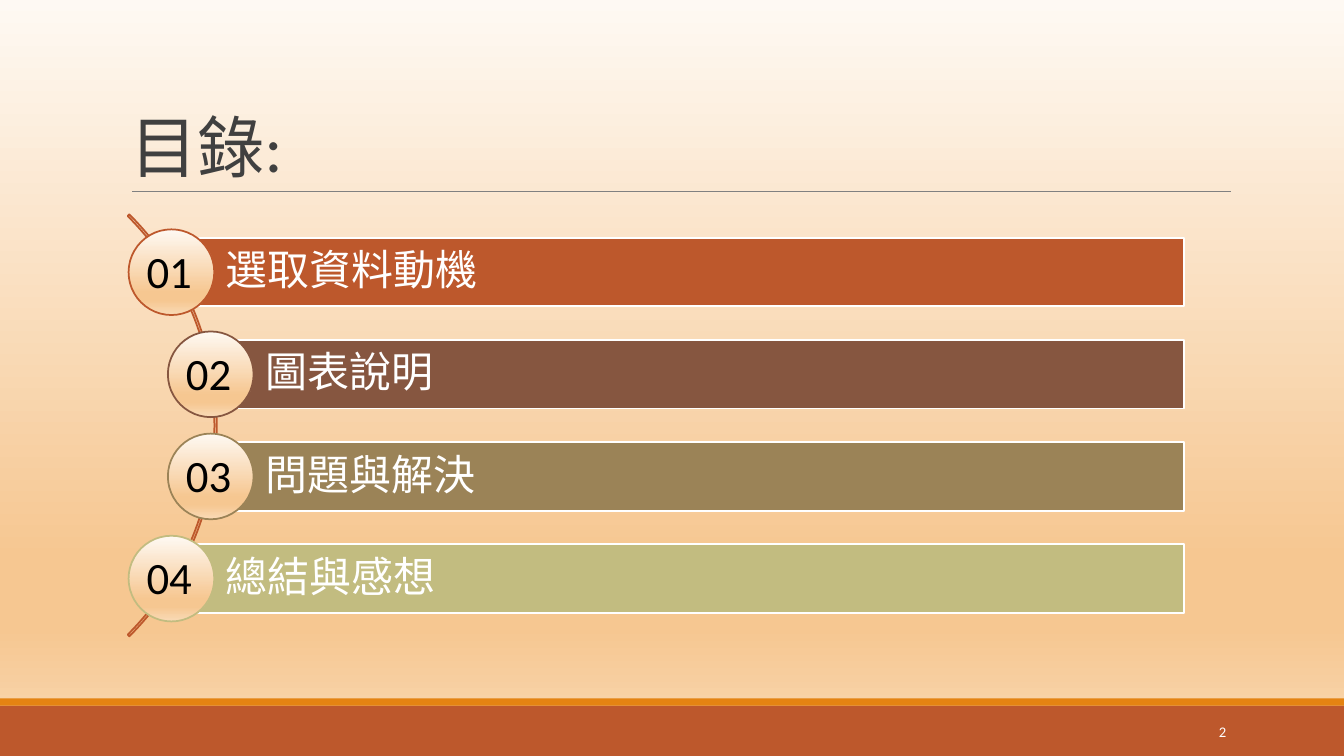
from lxml import etree
from pptx import Presentation
from pptx.dml.color import RGBColor
from pptx.enum.shapes import MSO_CONNECTOR, MSO_SHAPE
from pptx.enum.text import MSO_ANCHOR, PP_ALIGN
from pptx.oxml.ns import qn
from pptx.util import Inches, Pt

RECTANGLE, OVAL, ARC = MSO_SHAPE.RECTANGLE, MSO_SHAPE.OVAL, MSO_SHAPE.BLOCK_ARC
STRAIGHT = MSO_CONNECTOR.STRAIGHT
TOP, MIDDLE, BOTTOM = MSO_ANCHOR.TOP, MSO_ANCHOR.MIDDLE, MSO_ANCHOR.BOTTOM
LEFT, RIGHT = PP_ALIGN.LEFT, PP_ALIGN.RIGHT

FONT = "Calibri"
WHITE, RUST, ORANGE = "FFFFFF", "BD582C", "E48312"
GRADIENT = [(0, "FEF9F3"), (74, "F6C791"), (83, "F6C791"), (100, "F9DAB6")]
# Chapter title, colour, left edge of its bar
CHAPTERS = [
    ("選取資料動機", RUST, 1.7),
    ("圖表說明", "865640", 2.09),
    ("問題與解決", "9B8357", 2.09),
    ("總結與感想", "C2BC80", 1.7),
]


def color(value):
    return RGBColor.from_string(value)


def fill_gradient(fill, element):
    """Fill top to bottom with the warm gradient."""
    fill.gradient()
    fill.gradient_angle = 270
    stops = element.find(".//" + qn("a:gsLst"))
    for stop in list(stops):
        stops.remove(stop)
    for position, value in GRADIENT:
        stop = etree.SubElement(stops, qn("a:gs"), pos=str(position * 1000))
        etree.SubElement(stop, qn("a:srgbClr"), val=value)


def add_shape(slide, kind, box, fill=None, line=None):
    shape = slide.shapes.add_shape(kind, *map(Inches, box))
    shape.shadow.inherit = False
    if fill:
        shape.fill.solid()
        shape.fill.fore_color.rgb = color(fill)
    else:
        shape.fill.background()
    if line:
        shape.line.color.rgb = color(line)
        shape.line.width = Pt(1.25)
    else:
        shape.line.fill.background()
    return shape


def write_text(shape, text, size, value, anchor=MIDDLE, align=LEFT, spacing=1.0):
    frame = shape.text_frame
    frame.word_wrap = True
    frame.vertical_anchor = anchor
    frame.text = text
    paragraph = frame.paragraphs[0]
    paragraph.alignment = align
    paragraph.line_spacing = spacing
    font = paragraph.runs[0].font
    font.name, font.size = FONT, Pt(size)
    font.color.rgb = color(value)
    return paragraph.runs[0]


def add_text(slide, box, *args, **options):
    text_box = slide.shapes.add_textbox(*map(Inches, box))
    return write_text(text_box, *args, **options)


def add_footer(slide, left, top, width, height):
    stripe = 0.07
    add_shape(slide, RECTANGLE, (left, top + stripe, width, height - stripe), RUST)
    add_shape(slide, RECTANGLE, (left, top, width, stripe), ORANGE)
    add_text(slide, (left + width - 2.5, top + 0.13, 1.43, 0.4),
             "2", 10.5, WHITE, align=RIGHT)


def add_title(slide, left, top, width, height):
    bottom = top + height
    rule = slide.shapes.add_connector(
        STRAIGHT, *map(Inches, (left + 0.11, bottom, left + width + 0.01, bottom)))
    rule.line.color.rgb = color("808080")
    rule.line.width = Pt(0.5)
    etree.SubElement(rule.element.spPr, qn("a:effectLst"))
    run = add_text(slide, (left, top, width, height), "目錄:", 48, "404040",
                   anchor=BOTTOM, spacing=0.85)
    run.font.element.set("spc", "-50") if hasattr(run.font, "element") else \
        run._r.get_or_add_rPr().set("spc", "-50")


def add_chapter(slide, left, top, width, height, number, title, value):
    bar = add_shape(slide, RECTANGLE, (left, top, width, height), value, WHITE)
    frame = bar.text_frame
    frame.margin_left = Inches(0.54)
    frame.margin_top = frame.margin_right = frame.margin_bottom = Inches(0.08)
    write_text(bar, title, 30, WHITE, spacing=0.9)

    # Numbered circle centred on the left end of the bar
    diameter = 0.85
    circle_left = left - diameter / 2
    circle_top = top + (height - diameter) / 2
    circle = add_shape(slide, OVAL, (circle_left, circle_top, diameter, diameter),
                       line=value)
    fill_gradient(circle.fill, circle.element)
    add_text(slide, (circle_left + 0.08, circle_top + 0.09, 0.78, 0.64),
             f"{number:02d}", 32, "000000", anchor=TOP)


def add_contents(slide, left, top, width, height):
    # Curve behind the circles
    diameter = 5.92
    arc = add_shape(slide, ARC, (left + 0.88 - diameter, top + (height - diameter) / 2,
                                 diameter, diameter), line=RUST)
    for index, adjustment in enumerate((189, 27, 0.004)):
        arc.adjustments[index] = adjustment

    bar_height = 0.68
    pitch = (height - bar_height) / (len(CHAPTERS) - 1)
    for index, (title, value, bar_left) in enumerate(CHAPTERS):
        add_chapter(slide, bar_left, top + index * pitch, left + width - bar_left,
                    bar_height, index + 1, title, value)


def main():
    presentation = Presentation()
    presentation.slide_width = Inches(13.33)
    presentation.slide_height = Inches(7.5)
    slide = presentation.slides.add_slide(presentation.slide_layouts[6])
    fill_gradient(slide.background.fill, slide.element)
    add_footer(slide, 0, 6.93, 13.33, 0.57)
    add_title(slide, 1.2, 0.31, 11, 1.59)
    add_contents(slide, 1.27, 2.36, 10.47, 3.72)
    presentation.save("out.pptx")


if __name__ == "__main__":
    main()
